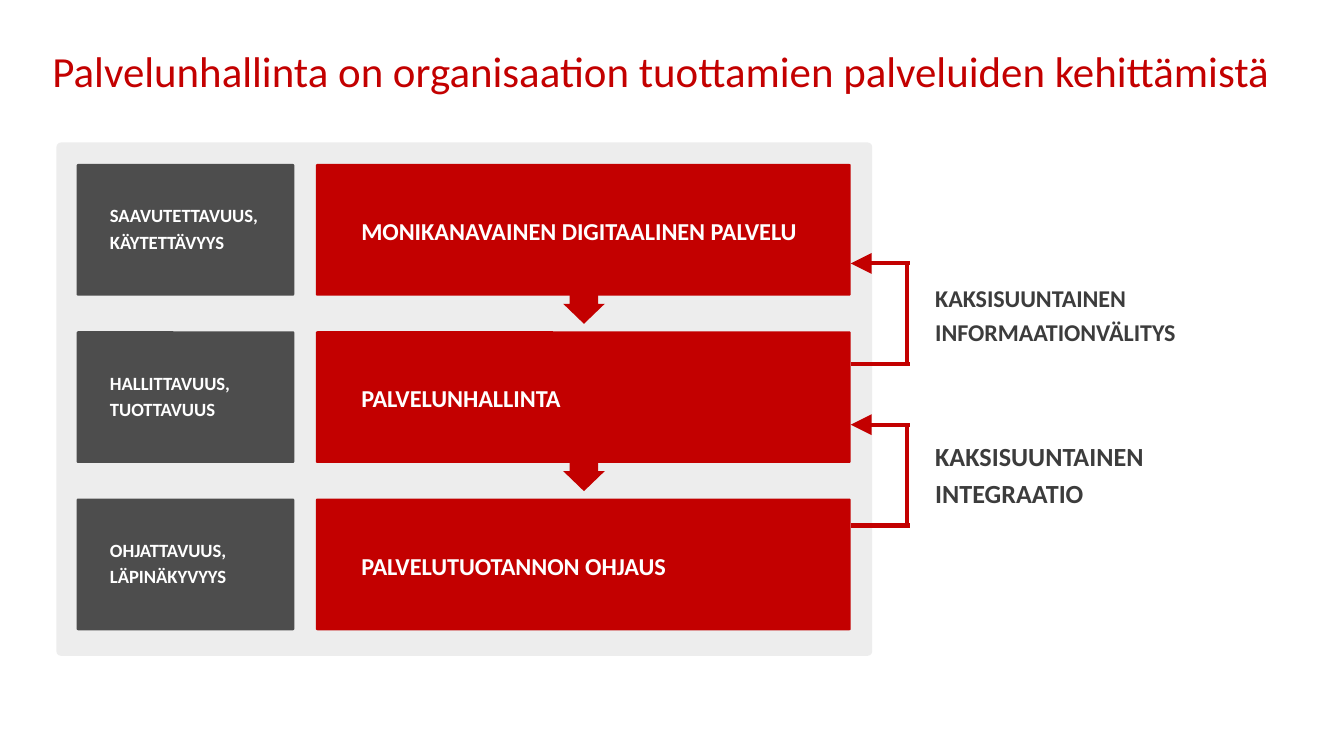
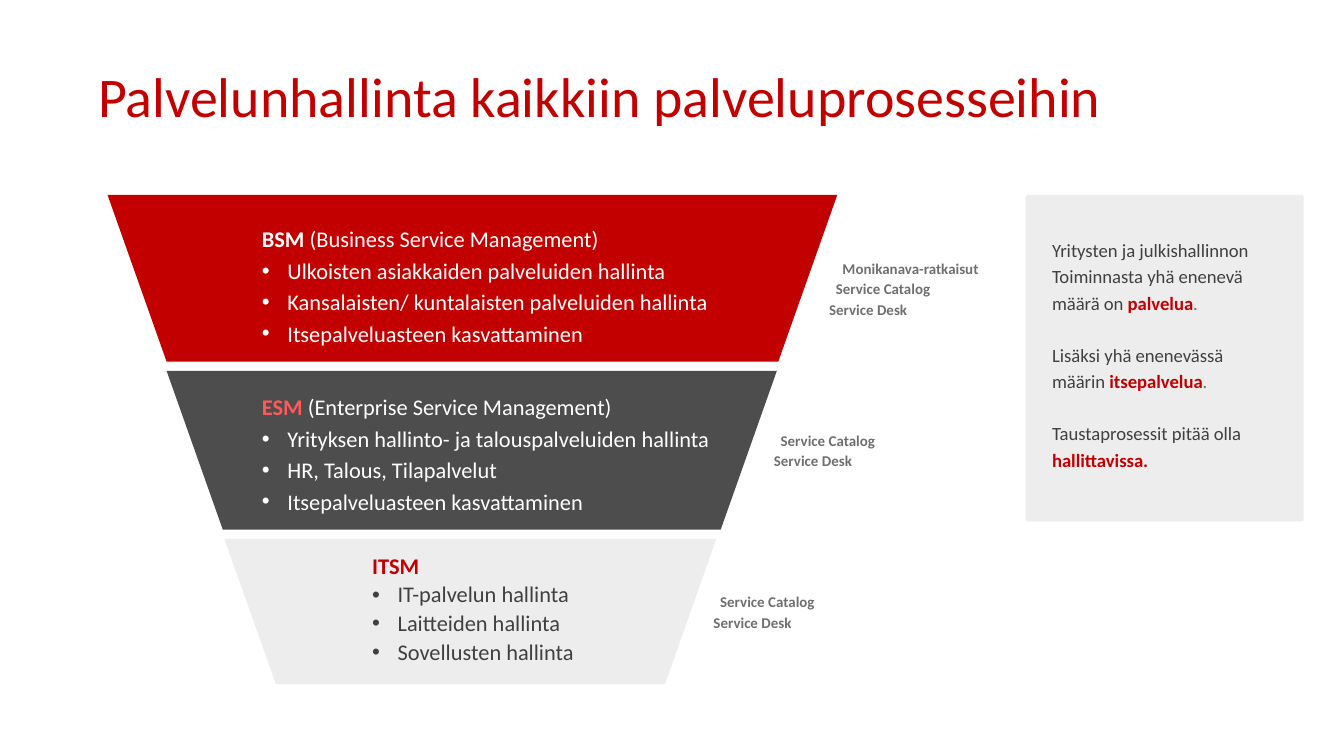
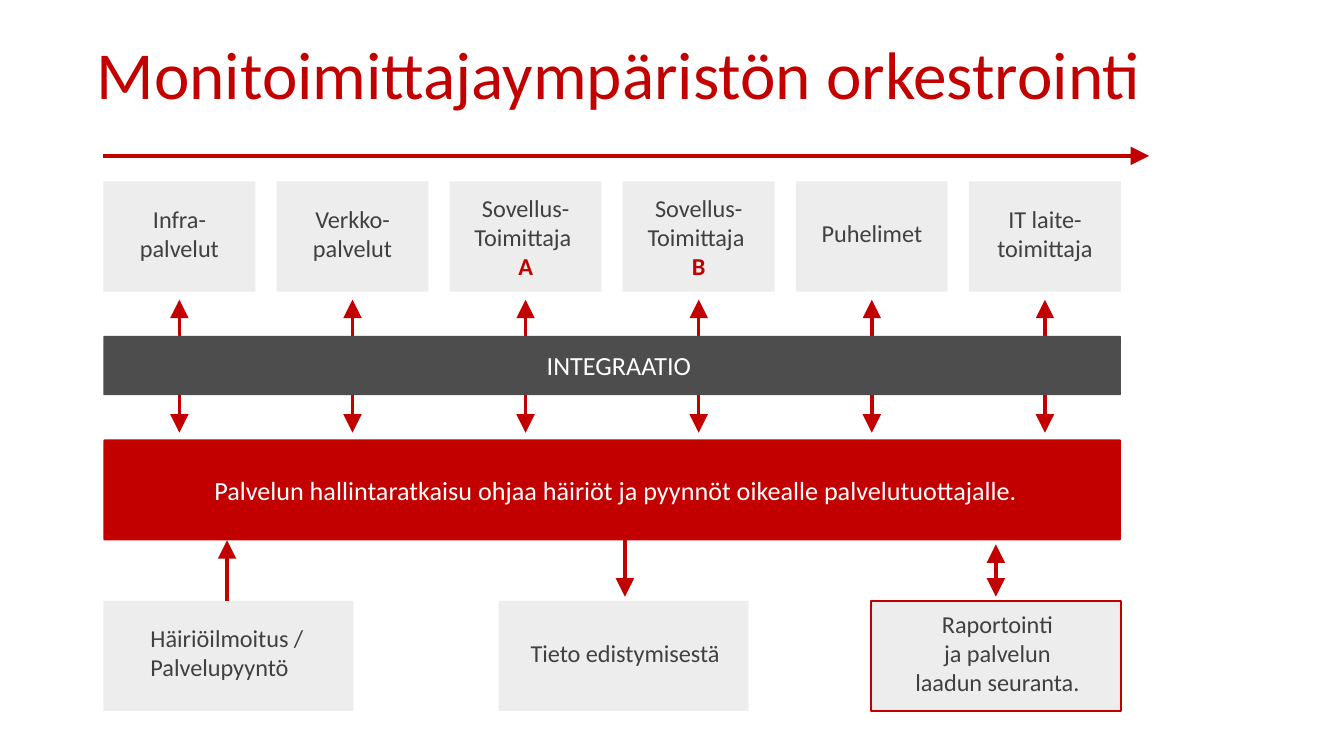
from pptx import Presentation
from pptx.dml.color import RGBColor
from pptx.enum.shapes import MSO_CONNECTOR as Connector, MSO_SHAPE as Shape
from pptx.enum.text import MSO_ANCHOR as Anchor, MSO_AUTO_SIZE as AutoSize, PP_ALIGN as Align
from pptx.oxml.ns import qn
from pptx.util import Inches, Pt
from lxml.etree import SubElement

RED, BRIGHT_RED, OUTLINE_RED = "C30000", "FF595C", "C00000"
DARK, PALE, WHITE = "4D4D4D", "EDEDED", "FFFFFF"
INK, LABEL_INK, MUTED = "404040", "3C3C3C", "6F6F6F"
FONT, BULLET_FONT = "Calibri", "Arial"
TITLE_ONLY = 5


def color_of(value):
    return RGBColor.from_string(value)


# Shared text and shape helpers
def add_para(frame, text, size=13, color=INK, bold=False, align=Align.LEFT,
             before=0, spacing=None, indent=0, bullet=False):
    """Add a paragraph; text is a string or a list of (text, color, bold) spans."""
    first = not frame.paragraphs[0].runs
    para = frame.paragraphs[0] if first else frame.add_paragraph()
    props = para._p.get_or_add_pPr()
    if bullet:
        indent = 0.19
        props.set("indent", str(-Inches(indent)))
        SubElement(props, qn("a:buFont")).set("typeface", BULLET_FONT)
        SubElement(props, qn("a:buChar")).set("char", "•")
    if indent:
        props.set("marL", str(Inches(indent)))
    para.alignment = align
    para.space_before = Pt(0 if first else before)
    if spacing:
        para.line_spacing = spacing
    spans = [(text, color, bold)] if isinstance(text, str) else text
    for words, span_color, span_bold in spans:
        span = para.add_run()
        span.text = words
        span.font.name = FONT
        span.font.size = Pt(size)
        span.font.bold = span_bold
        span.font.color.rgb = color_of(span_color)


def add_text(page, left, top, width, height):
    box = page.shapes.add_textbox(*map(Inches, (left, top, width, height)))
    box.text_frame.word_wrap = True
    return box.text_frame


def add_lines(page, left, top, width, height, lines, size, **style):
    frame = add_text(page, left, top, width, height)
    for line in lines:
        add_para(frame, line, size=size, before=size * 0.2, **style)


def add_block(page, kind, left, top, width, height, fill, adjust=(), line=None):
    block = page.shapes.add_shape(kind, *map(Inches, (left, top, width, height)))
    block.shadow.inherit = False
    block.fill.solid()
    block.fill.fore_color.rgb = color_of(fill)
    if line:
        block.line.color.rgb = color_of(line)
        block.line.width = Pt(0.85)
    else:
        block.line.fill.background()
    for index, value in enumerate(adjust):
        block.adjustments[index] = value
    return block


def fill_block(block, lines, left=0.1, top=0.0, **style):
    frame = block.text_frame
    frame.word_wrap = True
    frame.vertical_anchor = Anchor.MIDDLE
    frame.margin_left, frame.margin_top = Inches(left), Inches(top)
    frame.margin_right, frame.margin_bottom = Inches(0.1), Inches(0.05)
    for line in lines:
        add_para(frame, line, **style)


def add_line(page, start, end, width=1.85, head=False, tail=False):
    line = page.shapes.add_connector(Connector.STRAIGHT, *map(Inches, (*start, *end)))
    line.line.color.rgb = color_of(RED)
    line.line.width = Pt(width)
    outline = line.line._get_or_add_ln()
    for tag, wanted in (("a:headEnd", head), ("a:tailEnd", tail)):
        if wanted:
            arrow = SubElement(outline, qn(tag))
            for key, value in (("type", "triangle"), ("w", "lg"), ("len", "lg")):
                arrow.set(key, value)
    SubElement(line._element.spPr, qn("a:effectLst"))


def add_page(deck, title, size, left, top, width, height):
    page = deck.slides.add_slide(deck.slide_layouts[TITLE_ONLY])
    box = page.shapes.title
    box.left, box.top, box.width, box.height = map(Inches, (left, top, width, height))
    frame = box.text_frame
    frame.auto_size = AutoSize.NONE
    frame.vertical_anchor = Anchor.TOP
    add_para(frame, title, size=size, color=RED, spacing=Pt(38))
    return page


# Slide 1: service layers
def add_layer(page, left, top, qualities, name):
    add_block(page, Shape.ROUNDED_RECTANGLE, left, top, 1.62, 0.98, DARK, [0.012])
    add_lines(page, left + 0.15, top + 0.25, 1.4, 0.61, qualities, 10, color=WHITE, bold=True)
    add_block(page, Shape.ROUNDED_RECTANGLE, left + 1.78, top, 3.98, 0.98, RED, [0.012])
    add_lines(page, left + 2.02, top + 0.34, 3.66, 0.45, [name], 13, color=WHITE, bold=True)


def add_return_loop(page, left, top, height=0.75, width=0.44):
    right, bottom, side = left + width, top + height, left + width - 0.02
    add_line(page, (left, bottom), (right, bottom), 2.25)
    add_line(page, (side, bottom), (side, top), 2.25)
    add_line(page, (left, top), (right, top), 2.25, head=True)


def build_layers(deck):
    page = add_page(deck, "Palvelunhallinta on organisaation tuottamien palveluiden kehittämistä",
                    23, 0.29, 0.14, 9.63, 0.61)
    add_block(page, Shape.ROUNDED_RECTANGLE, 0.42, 1.06, 6.07, 3.82, PALE, [0.009])
    layers = [
        (["SAAVUTETTAVUUS,", "KÄYTETTÄVYYS"], "MONIKANAVAINEN DIGITAALINEN PALVELU"),
        (["HALLITTAVUUS,", "TUOTTAVUUS"], "PALVELUNHALLINTA"),
        (["OHJATTAVUUS,", "LÄPINÄKYVYYS"], "PALVELUTUOTANNON OHJAUS"),
    ]
    for index, (qualities, name) in enumerate(layers):
        top = 1.22 + index * 1.245
        add_layer(page, 0.57, top, qualities, name)
        if index < len(layers) - 1:
            add_block(page, Shape.DOWN_ARROW, 4.19, top + 0.93, 0.31, 0.26, RED, [0.686, 0.573])
    loops = [
        (1.96, 2.06, 12.9, "INFORMAATIONVÄLITYS"),
        (3.16, 3.23, 14, "INTEGRAATIO"),
    ]
    for loop_top, label_top, size, topic in loops:
        add_return_loop(page, 6.33, loop_top)
        add_lines(page, 6.86, label_top, 2.08, 0.56, ["KAKSISUUNTAINEN", topic], size,
                  color=LABEL_INK, bold=True)


# Slide 2: funnel of service levels
def add_level(page, left, top, width, height, fill, heading, items, text_box, color, spacing):
    level = add_block(page, Shape.TRAPEZOID, left, top, width, height, fill, [0.354])
    level.rotation = 180
    frame = add_text(page, *text_box)
    add_para(frame, heading, size=12, spacing=spacing)
    for item in items:
        add_para(frame, item, size=12, color=color, before=2.4, spacing=spacing, bullet=True)


def add_stepped_labels(page, left, top, labels):
    frame = add_text(page, left, top, 1.35, 0.18 + 0.16 * len(labels))
    for index, label in enumerate(labels):
        add_para(frame, label, size=8, color=MUTED, bold=True, before=1.6,
                 indent=0.05 * (len(labels) - 1 - index))


def add_side_note(page, left, top):
    add_block(page, Shape.ROUNDED_RECTANGLE, left, top, 2.07, 2.43, PALE, [0.009])
    frame = add_text(page, left + 0.1, top + 0.28, 1.9, 2.4)
    groups = [
        ["Yritysten ja julkishallinnon", "Toiminnasta yhä enenevä",
         [("määrä on ", INK, False), ("palvelua", RED, True), (".", MUTED, False)]],
        ["Lisäksi yhä enenevässä",
         [("määrin ", INK, False), ("itsepalvelua", RED, True), (".", MUTED, False)]],
        ["Taustaprosessit pitää olla", [("hallittavissa.", RED, True)]],
    ]
    for group in groups:
        for index, line in enumerate(group):
            add_para(frame, line, size=10, before=2 if index else 16)


def build_funnel(deck):
    page = add_page(deck, "Palvelunhallinta kaikkiin palveluprosesseihin", 30,
                    0.63, 0.38, 8.57, 0.63)
    add_side_note(page, 7.63, 1.45)
    levels = [
        (0.8, 5.43, 1.24, RED,
         [("BSM ", WHITE, True), ("(Business Service Management)", WHITE, False)],
         ["Ulkoisten asiakkaiden palveluiden hallinta",
          "Kansalaisten/ kuntalaisten palveluiden hallinta",
          "Itsepalveluasteen kasvattaminen"], (1.85, 1.63, 3.65, 1), WHITE, None),
        (1.24, 4.54, 1.18, DARK,
         [("ESM ", BRIGHT_RED, True), ("(Enterprise Service Management)", WHITE, False)],
         ["Yrityksen hallinto- ja talouspalveluiden hallinta", "HR, Talous, Tilapalvelut",
          "Itsepalveluasteen kasvattaminen"], (1.85, 2.88, 3.65, 1), WHITE, None),
        (1.67, 3.66, 1.08, PALE, [("ITSM", RED, True)],
         ["IT-palvelun hallinta", "Laitteiden hallinta", "Sovellusten hallinta"],
         (2.67, 4.08, 1.75, 1), INK, 0.9),
    ]
    top = 1.45
    for left, width, height, *content in levels:
        add_level(page, left, top, width, height, *content)
        top += height + 0.07
    services = ["Service Catalog", "Service Desk"]
    add_stepped_labels(page, 6.07, 1.88, ["Monikanava-ratkaisut", *services])
    add_stepped_labels(page, 5.66, 3.16, services)
    add_stepped_labels(page, 5.21, 4.36, services)


# Slide 3: orchestration of suppliers
def add_suppliers(page, left, top, width):
    suppliers = [
        ["Infra-", "palvelut"],
        ["Verkko-", "palvelut"],
        ["Sovellus-", "Toimittaja ", [("A", RED, True)]],
        ["Sovellus-", "Toimittaja ", [("B", RED, True)]],
        ["Puhelimet"],
        ["IT laite-toimittaja"],
    ]
    card = 1.13
    pitch = (width - card) / (len(suppliers) - 1)
    for index, lines in enumerate(suppliers):
        x = left + index * pitch
        block = add_block(page, Shape.RECTANGLE, x, top, card, 0.82, PALE)
        fill_block(block, lines, top=0.05 if len(lines) > 2 else 0, align=Align.CENTER)
        middle = x + card / 2
        add_line(page, (middle, top + 1.16), (middle, top + 0.88), tail=True)
        add_line(page, (middle, top + 1.59), (middle, top + 1.87), tail=True)


def add_band(page, left, top, width, height, fill, text):
    band = add_block(page, Shape.ROUNDED_RECTANGLE, left, top, width, height, fill, [0.012])
    fill_block(band, [text], left=0.2, top=0.05, size=14, color=WHITE, align=Align.CENTER)


def add_outcomes(page, top):
    outcomes = [
        (0.77, ["Häiriöilmoitus /", "Palvelupyyntö"], 0.35, Align.LEFT, None),
        (3.71, ["Tieto edistymisestä"], 0.12, Align.CENTER, None),
        (6.48, ["Raportointi", "ja palvelun", "laadun seuranta."], 0.12, Align.CENTER, OUTLINE_RED),
    ]
    for left, lines, inset, align, line in outcomes:
        block = add_block(page, Shape.RECTANGLE, left, top, 1.86, 0.82, PALE, line=line)
        fill_block(block, lines, left=inset, align=align)
    add_line(page, (1.69, top), (1.69, top - 0.45), tail=True)
    add_line(page, (4.65, top - 0.45), (4.65, top - 0.03), tail=True)
    add_line(page, (7.41, top - 0.42), (7.41, top - 0.03), head=True, tail=True)


def build_orchestration(deck):
    page = add_page(deck, "Monitoimittajaympäristön orkestrointi", 36, 0.62, 0.26, 8.57, 0.64)
    left, width = 0.77, 7.57
    add_line(page, (left, 1.16), (8.55, 1.16), tail=True)
    add_suppliers(page, left, 1.35, width)
    add_band(page, left, 2.5, width, 0.44, DARK, "INTEGRAATIO")
    add_band(page, left, 3.27, width, 0.75, RED,
             "Palvelun hallintaratkaisu ohjaa häiriöt ja pyynnöt oikealle palvelutuottajalle. ")
    add_outcomes(page, 4.47)


def main():
    deck = Presentation()
    deck.slide_width = Inches(10)
    deck.slide_height = deck.slide_width * 9 // 16
    build_layers(deck)
    build_funnel(deck)
    build_orchestration(deck)
    deck.save("out.pptx")


if __name__ == "__main__":
    main()
